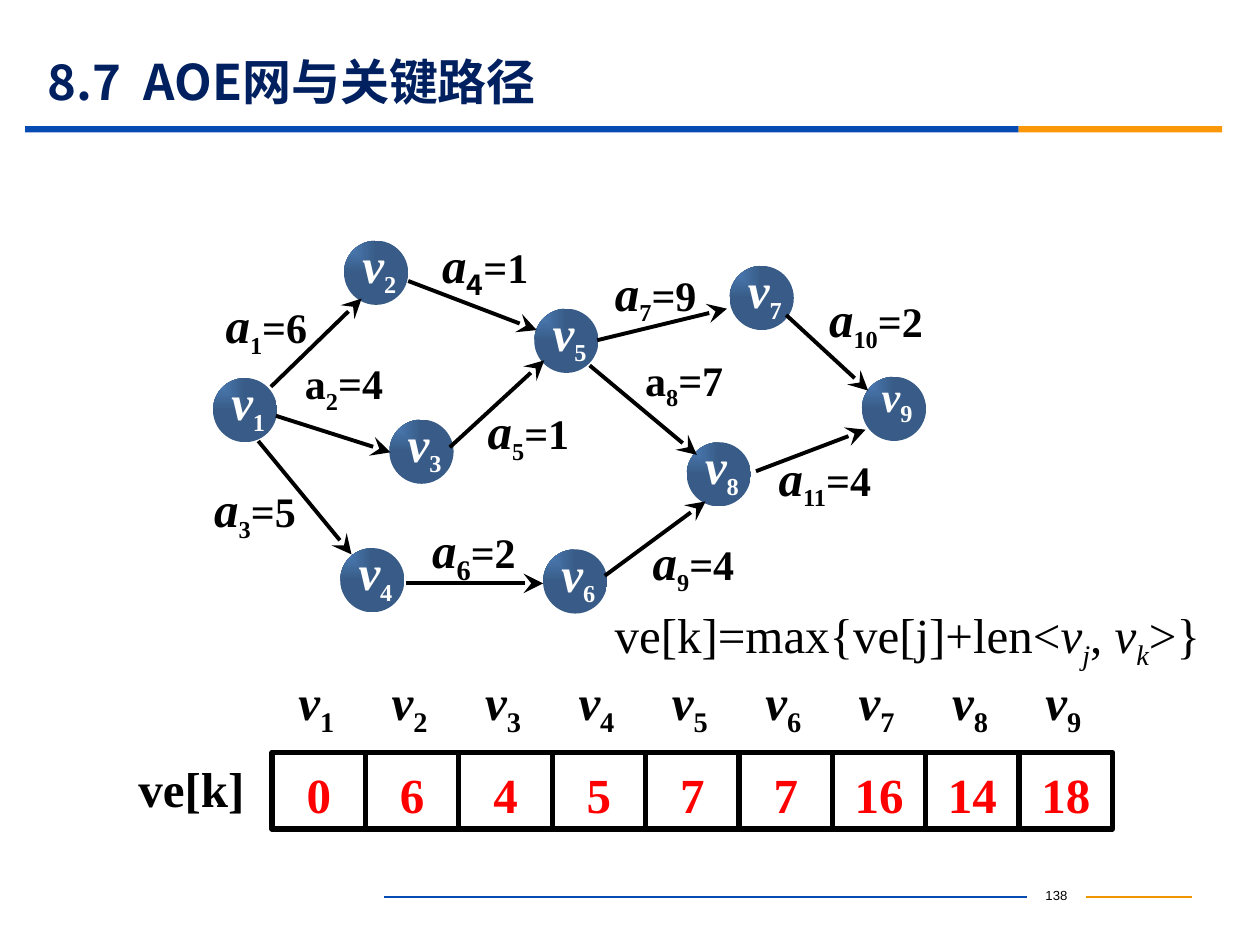
from pptx import Presentation, util as u
from pptx.dml.color import RGBColor
from pptx.enum import shapes, text
from pptx.oxml import parse_xml
from pptx.oxml.ns import nsdecls
from lxml import etree

BLACK = RGBColor(0, 0, 0)
WHITE = RGBColor(255, 255, 255)
RED = RGBColor(255, 0, 0)
NAVY = RGBColor(0x00, 0x20, 0x60)
BLUE = RGBColor(0x06, 0x4B, 0xB2)
ORANGE = RGBColor(0xFB, 0x97, 0x08)
GOLD = RGBColor(0xF1, 0x95, 0x00)
SERIF, SANS, CJK = "Times New Roman", "Arial", "Noto Sans CJK SC"

NODE = 0.51  # vertex diameter
VERTICES = [(0, 1.09), (1.04, 0), (1.4, 1.42), (1.01, 2.44), (2.55, 0.54),
            (2.62, 2.45), (4.1, 0.2), (3.76, 1.6), (5.15, 1.08)]
# activity duration, arrow from, arrow to, label corner
ACTIVITIES = [
    (6, (0.46, 1.16), (1.18, 0.46), (0.1, 0.43)),
    (4, (0.5, 1.39), (1.41, 1.68), (0.73, 0.93)),
    (5, (0.36, 1.59), (1.1, 2.49), (0.01, 1.89)),
    (1, (1.55, 0.32), (2.57, 0.71), (1.82, -0.05)),
    (1, (1.88, 1.64), (2.63, 0.95), (2.18, 1.27)),
    (2, (1.53, 2.72), (2.62, 2.72), (1.74, 2.21)),
    (9, (3.05, 0.79), (4.08, 0.54), (3.19, 0.17)),
    (7, (2.99, 0.99), (3.84, 1.7), (3.43, 0.9)),
    (4, (3.11, 2.66), (3.91, 2.07), (3.49, 2.31)),
    (2, (4.55, 0.59), (5.2, 1.19), (4.89, 0.38)),
    (4, (4.31, 1.83), (5.18, 1.5), (4.49, 1.64)),
]
UPRIGHT = (2, 8)  # activities whose letter is upright and smaller
EARLIEST = [0, 6, 4, 5, 7, 7, 16, 14, 18]


def inches(*lengths):
    return [u.Inches(length) for length in lengths]


def write(frame, runs, size, color=BLACK, bold=True, font=SERIF,
          align=text.PP_ALIGN.LEFT, insets=None):
    """Fill a frame; each run is (words, options: size, italic, sub, font)."""
    frame.word_wrap = True
    if insets:
        (frame.margin_left, frame.margin_top,
         frame.margin_right, frame.margin_bottom) = inches(*insets)
    paragraph = frame.paragraphs[0]
    paragraph.alignment = align
    paragraph.font.name, paragraph.font.size = font, u.Pt(size)
    paragraph.font.bold, paragraph.font.color.rgb = bold, color
    for words, options in runs:
        run = paragraph.add_run()
        run.text = words
        run.font.name = options.get("font", font)
        run.font.size = u.Pt(options.get("size", size))
        run.font.bold, run.font.color.rgb = bold, color
        run.font.italic = options.get("italic", False)
        if options.get("sub"):
            run.font._element.set("baseline", "-25000")
    return paragraph


def text_box(slide, box, runs, size, **style):
    frame = slide.shapes.add_textbox(*inches(*box)).text_frame
    return write(frame, runs, size, **style)


def vertex_runs(number, sub_size):
    return [("v", {"italic": True}), (str(number), {"sub": True, "size": sub_size})]


def preset(slide, kind, box):
    shape = slide.shapes.add_shape(kind, *inches(*box))
    shape.shadow.inherit = False
    return shape


def line(slide, start, end, color, width, arrow=False):
    connector = slide.shapes.add_connector(
        shapes.MSO_CONNECTOR.STRAIGHT, *inches(*start, *end))
    connector.line.color.rgb, connector.line.width = color, u.Pt(width)
    if arrow:
        connector.line._get_or_add_ln().append(parse_xml(
            f'<a:tailEnd {nsdecls("a")} type="stealth" w="lg" len="lg"/>'))
    properties = connector._element.spPr
    properties.append(parse_xml(f'<a:effectLst {nsdecls("a")}/>'))


def heading(slide, left, top, width):
    title = slide.shapes.title
    title.left, title.top, title.width, title.height = inches(left, top, width, 0.43)
    title.text_frame.auto_size = text.MSO_AUTO_SIZE.NONE
    title.text_frame.vertical_anchor = text.MSO_ANCHOR.MIDDLE
    paragraph = write(title.text_frame, [("8.7  AOE网与关键路径", {})], 28,
                      color=NAVY, font=CJK)
    properties = paragraph.runs[0].font._element
    properties.append(parse_xml(f'<a:ea {nsdecls("a")} typeface="{CJK}"/>'))


def title_rule(slide, left, top, width):
    blue_width = 0.83 * width
    for start, length, color in ((left, blue_width, BLUE),
                                 (left + blue_width, width - blue_width, ORANGE)):
        bar = preset(slide, shapes.MSO_SHAPE.RECTANGLE, (start, top, length, 0.05))
        bar.fill.solid()
        bar.fill.fore_color.rgb = color
        bar.line.fill.background()


def footer(slide, left, middle, right):
    number_left, number_width = 8.15, 0.47
    number_right = number_left + number_width
    line(slide, (left, middle), (number_left, middle), BLUE, 0.75)
    line(slide, (number_right, middle), (right, middle), GOLD, 0.75)
    text_box(slide, (number_left, middle - 0.13, number_width, 0.25), [("138", {})],
             7.5, bold=False, font=SANS, align=text.PP_ALIGN.CENTER)


def shade_node(node):
    """Gradient that starts light in the upper left corner."""
    properties = node._element.spPr
    gradient = parse_xml(
        f'<a:gradFill {nsdecls("a")} rotWithShape="1"><a:gsLst>'
        '<a:gs pos="0"><a:srgbClr val="4F81BD"/></a:gs>'
        '<a:gs pos="100000"><a:srgbClr val="4F81BD"><a:shade val="46275"/></a:srgbClr></a:gs>'
        '</a:gsLst><a:path path="rect"><a:fillToRect r="100000" b="100000"/></a:path>'
        '</a:gradFill>')
    properties.find(f"{{{etree.QName(gradient).namespace}}}prstGeom").addnext(gradient)
    node.line.fill.background()


def activity_runs(number, duration):
    upright = number in UPRIGHT
    sub = {"sub": True}
    if number in (4, 6):
        sub["size"] = 28
    if number == 4:
        sub["font"] = CJK
    letter = {} if upright else {"italic": True, "size": 28}
    return [("a", letter), (str(number), sub), (f"={duration}", {})]


def network(slide, left, top):
    # Vertices
    for number, (x, y) in enumerate(VERTICES, 1):
        x, y = left + x, top + y
        shade_node(preset(slide, shapes.MSO_SHAPE.OVAL, (x, y, NODE, NODE)))
        text_box(slide, (x + 0.05, y - 0.08, 0.45, 0.6), vertex_runs(number, 24),
                 24 if number == 9 else 28, color=WHITE,
                 align=text.PP_ALIGN.CENTER, insets=(0.01, 0.03, 0, 0.01))
    # Activities
    for number, (duration, start, end, label) in enumerate(ACTIVITIES, 1):
        start, end, label = ((left + x, top + y) for x, y in (start, end, label))
        line(slide, start, end, BLACK, 2.25, arrow=True)
        text_box(slide, (*label, 0.72 if number < 10 else 0.89, 0.57),
                 activity_runs(number, duration), 24,
                 align=text.PP_ALIGN.JUSTIFY, insets=(0, 0, 0, 0))


def formula(slide, box):
    italic, sub = {"italic": True}, {"italic": True, "sub": True}
    runs = [("ve[k]=max{ve[j]+len<", {}), ("v", italic), ("j", sub), (", ", {}),
            ("v", italic), ("k", sub), (">}", {})]
    paragraph = text_box(slide, box, runs, 28, bold=False)
    paragraph.line_spacing = 1.2


def earliest_times(slide, left, top, width, height):
    column = width / len(EARLIEST)
    text_box(slide, (left - 1.16, top, 1.08, 0.57), [("ve[k]", {})], 28)
    for index, value in enumerate(EARLIEST):
        x = left + index * column
        text_box(slide, (x + 0.11, top - 0.69, column, 0.57),
                 vertex_runs(index + 1, 28), 28)
        cell = preset(slide, shapes.MSO_SHAPE.RECTANGLE, (x, top, column, height))
        cell.fill.background()
        cell.line.color.rgb, cell.line.width = BLACK, u.Pt(3)
        cell.text_frame.vertical_anchor = text.MSO_ANCHOR.MIDDLE
        write(cell.text_frame, [(str(value), {})], 28, color=RED,
              align=text.PP_ALIGN.CENTER, insets=(0, 0.05, 0, 0))


def main():
    deck = Presentation()
    deck.slide_width, deck.slide_height = inches(10, 7.5)
    slide = deck.slides.add_slide(deck.slide_layouts[5])
    footer(slide, 3.05, 7.12, 9.46)
    title_rule(slide, 0.2, 1, 9.5)
    heading(slide, 0.28, 0.43, 9)
    network(slide, 1.69, 1.91)
    earliest_times(slide, 2.16, 5.97, 6.67, 0.61)
    formula(slide, (4.78, 4.64, 4.95, 0.66))
    deck.save("out.pptx")


if __name__ == "__main__":
    main()
